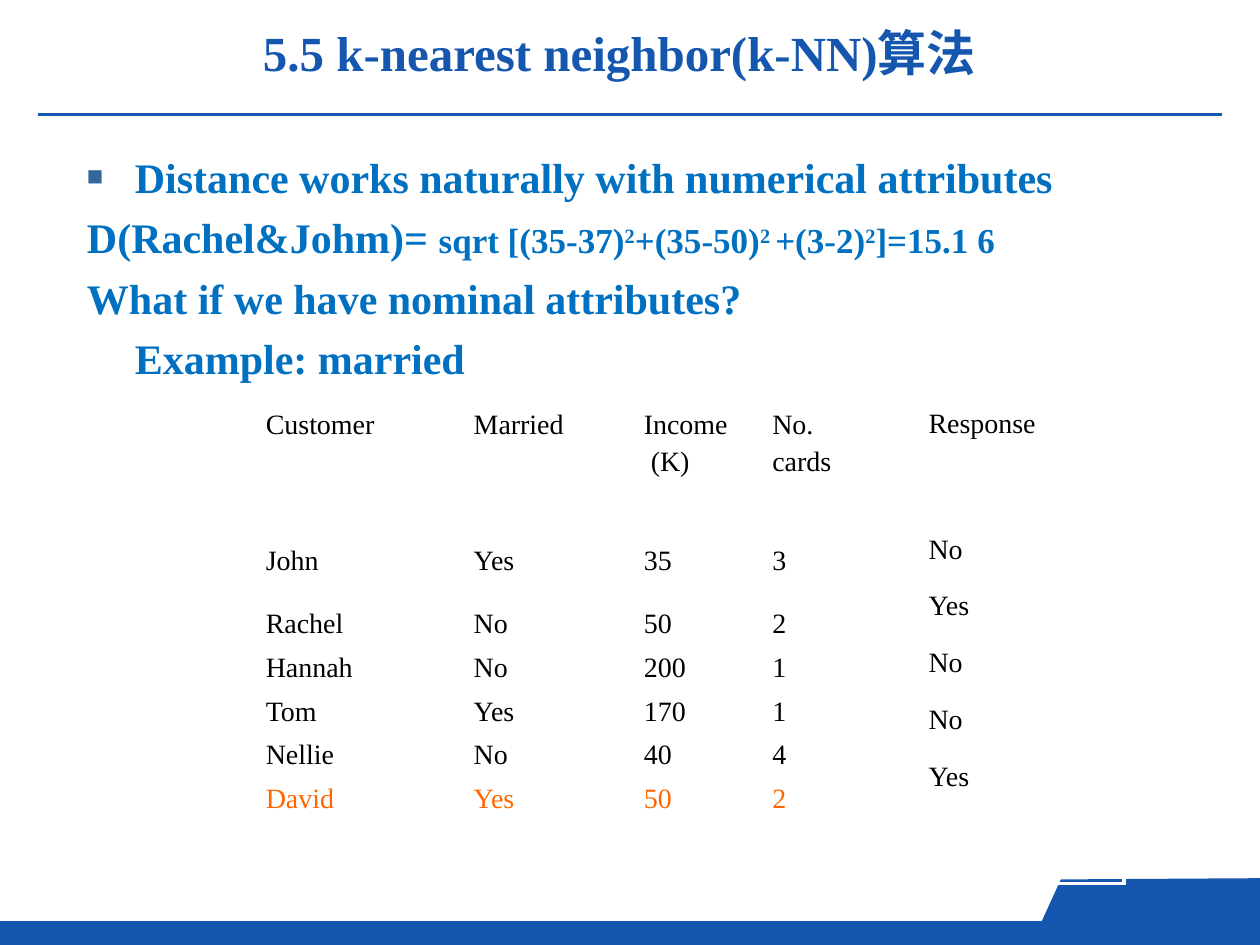
from dataclasses import dataclass

from lxml import etree
from pptx import Presentation
from pptx import util as u
from pptx.dml.color import RGBColor
from pptx.enum import shapes, text
from pptx.oxml.ns import qn

FONT = "Times New Roman"
NAVY = RGBColor(0x15, 0x57, 0xAE)
BLUE = RGBColor(0x00, 0x70, 0xC0)
BULLET = RGBColor(0x33, 0x66, 0x99)
BLACK = RGBColor(0x00, 0x00, 0x00)
ORANGE = RGBColor(0xFF, 0x66, 0x00)
WHITE = RGBColor(0xFF, 0xFF, 0xFF)


@dataclass
class Piece:
    words: str
    size: int = 24
    raised: bool = False


@dataclass
class Line:
    pieces: list[Piece]
    bullet: bool = False
    hanging: bool = True


@dataclass
class Grid:
    left: float
    top: float
    widths: list[float]
    heights: list[float]
    rows: list[list[str]]
    accent_row: int = -1


LINES = [
    Line([Piece("Distance works naturally with numerical attributes")], bullet=True),
    Line([
        Piece("D(Rachel&Johm)= "),
        Piece("sqrt [(35-37)", 20), Piece("2", 20, True),
        Piece("+(35-50)", 20), Piece("2 ", 20, True),
        Piece("+(3-2)", 20), Piece("2", 20, True),
        Piece("]=15.1 6", 20),
    ]),
    Line([Piece("What if we have nominal attributes?")]),
    Line([Piece("Example: married")], hanging=False),
]

CUSTOMERS = Grid(
    2.01, 3.2, [1.65, 1.35, 1.02, 1.07], [1.08, 0.5] + [0.3] * 5,
    [
        ["Customer", "Married", "Income\n (K)", "No.\ncards"],
        ["John", "Yes", "35", "3"],
        ["Rachel", "No", "50", "2"],
        ["Hannah", "No", "200", "1"],
        ["Tom", "Yes", "170", "1"],
        ["Nellie", "No", "40", "4"],
        ["David", "Yes", "50", "2"],
    ],
    accent_row=6,
)
RESPONSES = Grid(
    7.27, 3.19, [1.65], [1] + [0.45] * 5 + [0.57],
    [["Response"], ["No"], ["Yes"], ["No"], ["No"], ["Yes"], [""]],
)


def add_run(paragraph, words: str, size: int, color: RGBColor, bold: bool = False):
    run = paragraph.add_run()
    run.text = words
    font = run.font
    font.name, font.size, font.bold = FONT, u.Pt(size), bold
    font.color.rgb = color
    return run


def place(shape, left: float, top: float, width: float, height: float) -> None:
    shape.left, shape.top = u.Inches(left), u.Inches(top)
    shape.width, shape.height = u.Inches(width), u.Inches(height)


def paint(shape) -> None:
    shape.shadow.inherit = False
    shape.fill.solid()
    shape.fill.fore_color.rgb = NAVY
    shape.line.fill.background()


def set_bullet(paragraph, line: Line) -> None:
    properties = paragraph._p.get_or_add_pPr()
    properties.set("marL", str(u.Inches(0.38)))
    properties.set("indent", str(u.Inches(-0.38 if line.hanging else 0)))
    if not line.bullet:
        etree.SubElement(properties, qn("a:buNone"))
        return
    color = etree.SubElement(properties, qn("a:buClr"))
    etree.SubElement(color, qn("a:srgbClr"), val=str(BULLET))
    etree.SubElement(properties, qn("a:buSzPct"), val="65000")
    etree.SubElement(properties, qn("a:buFont"), typeface=FONT)
    etree.SubElement(properties, qn("a:buChar"), char="■")


def add_borders(cell, row: int, column: int, grid: Grid) -> None:
    """White rules, heavier on the outside of the table."""
    outer = {
        "a:lnL": column == 0,
        "a:lnR": column == len(grid.widths) - 1,
        "a:lnT": row == 0,
        "a:lnB": row == len(grid.heights) - 1,
    }
    properties = cell._tc.get_or_add_tcPr()
    for position, (side, heavy) in enumerate(outer.items()):
        rule = etree.Element(qn(side), w=str(u.Pt(2.25 if heavy else 1)))
        fill = etree.SubElement(rule, qn("a:solidFill"))
        etree.SubElement(fill, qn("a:srgbClr"), val=str(WHITE))
        properties.insert(position, rule)


def draw_grid(slide, grid: Grid) -> None:
    table = slide.shapes.add_table(
        len(grid.heights), len(grid.widths), u.Inches(grid.left), u.Inches(grid.top),
        u.Inches(sum(grid.widths)), u.Inches(sum(grid.heights))).table
    table.first_row = table.horz_banding = False
    for column, width in zip(table.columns, grid.widths):
        column.width = u.Inches(width)
    for row, height in zip(table.rows, grid.heights):
        row.height = u.Inches(height)
    for r, values in enumerate(grid.rows):
        color = ORANGE if r == grid.accent_row else BLACK
        for c, value in enumerate(values):
            cell = table.cell(r, c)
            cell.fill.background()
            add_borders(cell, r, c, grid)
            if not value:
                continue
            for i, words in enumerate(value.split("\n")):
                frame = cell.text_frame
                paragraph = frame.add_paragraph() if i else frame.paragraphs[0]
                if i:
                    paragraph.space_before = u.Pt(3.5)
                add_run(paragraph, words, 16, color)


def draw_footer(slide) -> None:
    for bottom in (7.45, 7.33):
        builder = slide.shapes.build_freeform(
            u.Inches(10), u.Inches(bottom), scale=1.0)
        corners = [(10, bottom - 0.36), (8.42, bottom - 0.35), (8.26, bottom)]
        builder.add_line_segments([(u.Inches(x), u.Inches(y)) for x, y in corners])
        paint(builder.convert_to_shape())
    paint(slide.shapes.add_shape(
        shapes.MSO_SHAPE.FLOWCHART_PROCESS,
        u.Inches(0), u.Inches(7.31), u.Inches(10), u.Inches(0.19)))


def draw_title(slide) -> None:
    title = slide.shapes.title
    place(title, 0.9, 0.13, 8.03, 0.57)
    title.text_frame.auto_size = text.MSO_AUTO_SIZE.NONE
    paragraph = title.text_frame.paragraphs[0]
    paragraph.alignment = text.PP_ALIGN.CENTER
    add_run(paragraph, "5.5 k-nearest neighbor(k-NN)算法", 28, NAVY, bold=True)

    rule = slide.shapes.add_connector(
        shapes.MSO_CONNECTOR.STRAIGHT,
        u.Inches(0.3), u.Inches(0.91), u.Inches(9.7), u.Inches(0.91))
    rule.line.color.rgb = NAVY
    rule.line.width = u.Pt(1.5)
    etree.SubElement(rule._element.spPr, qn("a:effectLst"))


def draw_body(slide) -> None:
    body = slide.placeholders[1]
    place(body, 0.59, 1.15, 10.72, 2.25)
    frame = body.text_frame
    frame.auto_size = text.MSO_AUTO_SIZE.NONE
    for i, line in enumerate(LINES):
        paragraph = frame.add_paragraph() if i else frame.paragraphs[0]
        set_bullet(paragraph, line)
        paragraph.space_before = u.Pt(5.8 if i else 0)
        for piece in line.pieces:
            run = add_run(paragraph, piece.words, piece.size, BLUE, bold=True)
            if piece.raised:
                run.font._element.set("baseline", "30000")


def main() -> None:
    deck = Presentation()
    deck.slide_width, deck.slide_height = u.Inches(10), u.Inches(7.5)
    slide = deck.slides.add_slide(deck.slide_layouts[1])
    draw_footer(slide)
    draw_title(slide)
    draw_body(slide)
    for grid in (CUSTOMERS, RESPONSES):
        draw_grid(slide, grid)
    deck.save("out.pptx")


if __name__ == "__main__":
    main()
